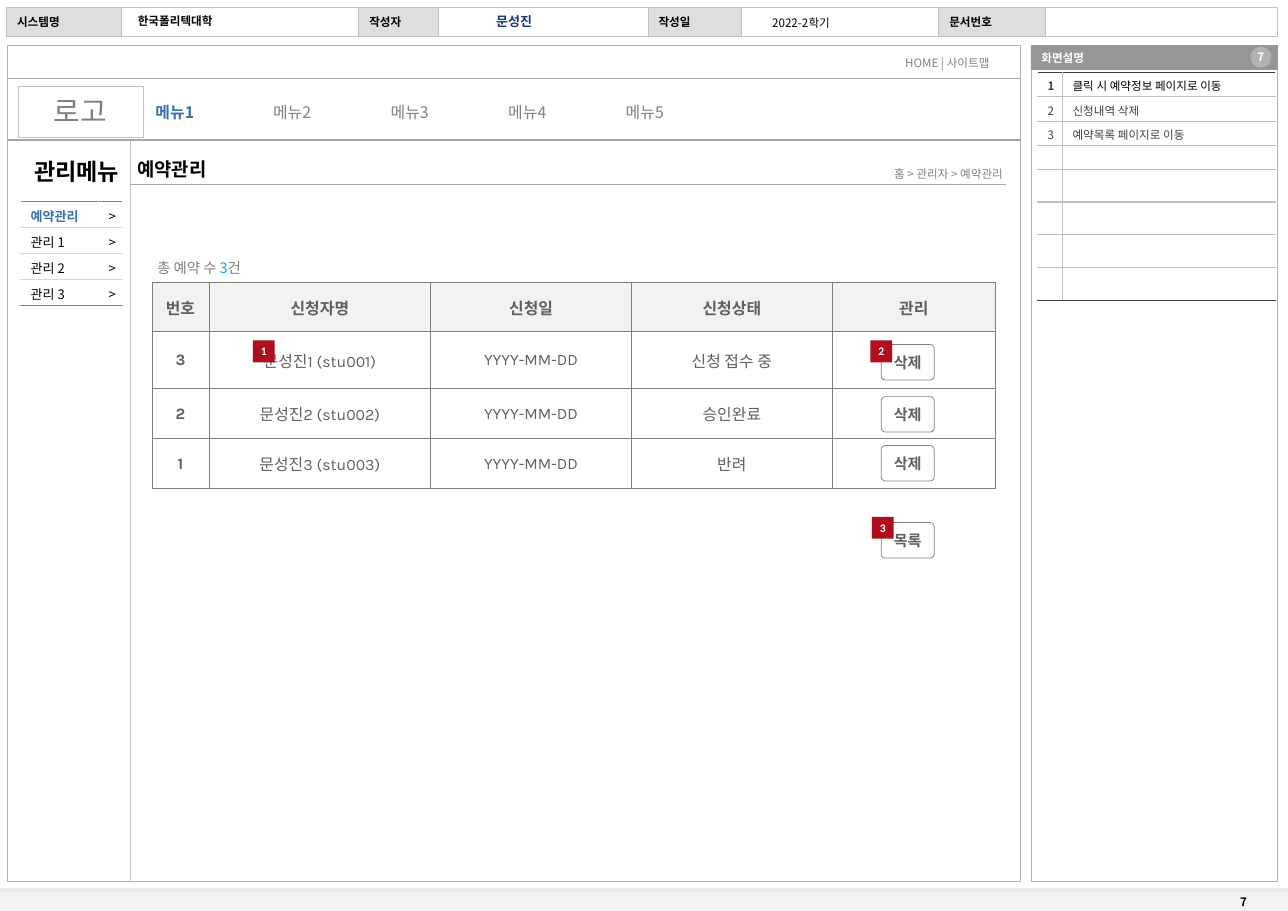
import pptx
import pptx.util
import pptx.dml.color
import pptx.enum.shapes
import pptx.enum.text
import pptx.oxml.ns
from lxml import etree

COLS, ROWS = 1238, 875
WIDE, HIGH = pptx.util.Pt(891.4), pptx.util.Pt(630.3)
KIND = pptx.enum.shapes.MSO_SHAPE
ALIGN = pptx.enum.text.PP_ALIGN
LEFT, MID, RIGHT = ALIGN.LEFT, ALIGN.CENTER, ALIGN.RIGHT
TOP, HALF = pptx.enum.text.MSO_ANCHOR.TOP, pptx.enum.text.MSO_ANCHOR.MIDDLE
SIDES = ("margin_left", "margin_top", "margin_right", "margin_bottom")

THEME = dict(
    sans="Noto Sans CJK KR", web="Karla", tag="Calibri",
    black="000000", white="FFFFFF", grey="808080", dark="404040", text="5F5F5F",
    blue="376EAB", navy="163873", cyan="00B0F0", red="AF0F1D",
    foot="F3F3F3", edge="EAEAEA", head="F2F2F2", label="DEDEDE", bar="969696",
    frame="B2B2B2", band="C0C0C0", rule="A6A6A6", thin="BFBFBF", pale="D9D9D9",
    small=8, body=9, count=10, button=10.5, menu=11, title=13, side=16, logo=20)

LABELS = [("시스템명", 6.5, 110), ("작성자", 345, 77), ("작성일", 623, 90), ("문서번호", 902.5, 102)]
PANELS = [((7.5, 44, 973, 803), 0.75), ((991, 67, 237, 780), 0.5)]
RULES = [((0, 855, COLS, 855), "edge", 3), ((125, 135, 125, 847), "thin", 0.25),
         ((125, 177.5, 966.5, 177.5), "rule", 0.75), ((7.5, 134.5, 981, 134.5), "rule", 0.75),
         ((367, 75.5, 981, 75.5), "rule", 0.75), ((7.5, 75.5, 422, 75.5), "rule", 0.75)]
NOTES = [
    ("7", (1182, 855, 55, 24), dict(bold=True)),
    ("문성진", (423, 8, 142, 25), dict(size="body", tint="navy", bold=True, align=MID)),
    ("한국폴리텍대학", (122.5, 8, 222, 24), dict(bold=True)),
    ("2022-2학기", (720, 10.5, 100, 24), dict(align=MID)),
    ("관리메뉴", (7.5, 146.5, 132, 37), dict(size="side", bold=True, align=MID)),
    ("홈 > 관리자 > 예약관리", (832, 155, 142, 24), dict(tint="grey", align=RIGHT)),
    ("HOME | 사이트맵", (860, 49, 120, 24), dict(tint="grey"))]
TITLE = ("예약관리", (122, 146.5, 100, 32))
MENU = ["메뉴1", "메뉴2", "메뉴3", "메뉴4", "메뉴5"]
STEP = 113
TOTAL = [("총 예약 수 ", "grey"), ("3", "cyan"), ("건", "grey")]
SIDE = [("예약관리", ">"), ("관리 1", ">"), ("관리 2", ">"), ("관리 3", ">")]
GUIDE = [("1", "클릭 시 예약정보 페이지로 이동"), ("2", "신청내역 삭제"),
         ("3", "예약목록 페이지로 이동")] + [("", "")] * 5
BOOKS = [("번호", "신청자명", "신청일", "신청상태", "관리"),
         ("3", "문성진1 (stu001)", "YYYY-MM-DD", "신청 접수 중", ""),
         ("2", "문성진2 (stu002)", "YYYY-MM-DD", "승인완료", ""),
         ("1", "문성진3 (stu003)", "YYYY-MM-DD", "반려", "")]
BUTTONS = [("삭제", 331), ("삭제", 381), ("삭제", 428), ("목록", 502)]
TAGS = [("2", 836.5, 327), ("1", 243, 327), ("3", 838, 496.5)]

deck = pptx.Presentation()
deck.slide_width, deck.slide_height = WIDE, HIGH
page = deck.slides.add_slide(deck.slide_layouts[5])
shapes = page.shapes


def grid(box):
    return [round(n * (HIGH / ROWS if i % 2 else WIDE / COLS)) for i, n in enumerate(box)]


def color(name):
    return pptx.dml.color.RGBColor.from_string(THEME[name])


def assign(item, **form):
    for key, val in form.items():
        setattr(item, key, val)


def node(home, tag, **form):
    return etree.SubElement(home, pptx.oxml.ns.qn(tag), **form)


def paint(fill, tint):
    if tint:
        fill.solid()
        fill.fore_color.rgb = color(tint)
    else:
        fill.background()


def add_run(para, text, size="small", tint="black", font="sans", bold=False):
    run = para.add_run()
    run.text = text
    assign(run.font, name=THEME[font], size=pptx.util.Pt(THEME[size]), bold=bold)
    run.font.color.rgb = color(tint)
    node(run.font._element, "a:ea", typeface=THEME["sans"])


def write(frame, text, align=LEFT, anchor=TOP, pad=(10, 5, 10, 5), **form):
    assign(frame, word_wrap=True, vertical_anchor=anchor, **dict(zip(SIDES, grid(pad))))
    para = frame.paragraphs[0]
    para.alignment = align
    if text:
        add_run(para, text, **form)
    return para


def note(text, box, **form):
    return write(shapes.add_textbox(*grid(box)).text_frame, text, **form)


def shape(box, fill=None, line=None, width=0.75, kind=KIND.RECTANGLE, text="", **form):
    item = shapes.add_shape(kind, *grid(box))
    item.shadow.inherit = False
    paint(item.fill, fill)
    paint(item.line.fill, line)
    if line:
        item.line.width = pptx.util.Pt(width)
    if text:
        write(item.text_frame, text, anchor=HALF, **form)
    return item


def rule(ends, tint, width):
    item = shapes.add_connector(pptx.enum.shapes.MSO_CONNECTOR.STRAIGHT, *grid(ends))
    item.line.color.rgb = color(tint)
    item.line.width = pptx.util.Pt(width)
    node(item._element.spPr, "a:effectLst")


def table(data, spot, cols, rows, style):
    box = grid((*spot, sum(cols), sum(rows)))
    item = shapes.add_table(len(rows), len(cols), *box).table
    assign(item, first_row=False, horz_banding=False)
    for col, size in zip(item.columns, cols):
        col.width = grid((size,))[0]
    for row, size in zip(item.rows, rows):
        row.height = grid((0, size))[1]
    for r, line in enumerate(data):
        for c, text in enumerate(line):
            cell = item.cell(r, c)
            fill, edges, width, anchor, align, pad, form = style(r, c)
            for side, tint in zip("LRTB", edges):
                edge = node(cell._tc.get_or_add_tcPr(), "a:ln" + side,
                            w=str(pptx.util.Pt(width)))
                node(node(edge, "a:solidFill"), "a:srgbClr", val=THEME[tint])
            paint(cell.fill, fill)
            assign(cell, vertical_anchor=anchor, **dict(zip(SIDES, grid(pad))))
            para = cell.text_frame.paragraphs[0]
            para.alignment = align
            if text:
                add_run(para, text, **form)
            else:
                node(para._p, "a:endParaRPr", sz=str(THEME["small"] * 100))


def side_style(r, c):
    edges = ("white", "white", "pale" if r else "grey", "grey" if r == len(SIDE) - 1 else "pale")
    first = r == 0 and c == 0
    form = dict(size="body", tint="blue" if first else "black", bold=first)
    return None, edges, 1, HALF, RIGHT if c else LEFT, (10, 4, 7 if c else 0, 2), form


def guide_style(r, c):
    edges = ("thin" if c else "white", "white" if c else "thin",
             "thin" if r else "dark", "dark" if r == len(GUIDE) - 1 else "thin")
    form = dict(tint="black" if r == 0 and c else "dark", bold=r == 0 and c == 0)
    return "white", edges, 1, TOP, LEFT, (10, 4.5, 0, 2), form


def book_style(r, c):
    form = dict(size="menu", tint="text", font="web", bold=r == 0 or c == 0)
    return None if r else "head", ["grey"] * 4, 0.5, HALF, MID, (9, 9, 9, 9), form


shape((0, 855, COLS, 20), "foot")
for box, width in PANELS:
    shape(box, line="frame", width=width)
shape((6.5, 7.5, 1221.5, 28), "white", "band")
for text, left, width in LABELS:
    shape((left, 7, width, 28), "label", "band", text=text, bold=True)
shape((991, 44, 237, 23), "bar", "bar", 0.5, text="화면설명", tint="white", bold=True)
shape((1202, 45, 20, 20), "frame", kind=KIND.OVAL, text="7", tint="white", bold=True,
      align=MID, pad=(0, 0, 0, 0))
for ends, tint, width in RULES:
    rule(ends, tint, width)
for text, box, form in NOTES:
    note(text, box, **form)

name, box = TITLE
head = shapes.title
assign(head, **dict(zip(("left", "top", "width", "height"), grid(box))))
write(head.text_frame, name, size="title", bold=True)

table(SIDE, (19.5, 193.5), (75, 23), [25] * 4, side_style)
para = note("", (139.5, 93.5, 652, 29))
tabs = node(para._p.get_or_add_pPr(), "a:tabLst")
for i, text in enumerate(MENU):
    if i:
        node(tabs, "a:tab", pos=str(grid((STEP * i,))[0]), algn="l")
    add_run(para, "\t" + text if i else text, size="menu",
            tint="grey" if i else "blue", bold=i == 0)
shape((17.5, 82.5, 120, 49), "white", "thin", 0.25, text="로고", size="logo", tint="grey", align=MID)

table(GUIDE, (997, 69.5), (24, 205), [23.5] * 3 + [22.5] + [31.5] * 4, guide_style)
table(BOOKS, (146, 271.5), (55, 213, 193, 193, 157), (47, 55, 48, 48), book_style)
para = note("", (141, 244, 140, 27))
for text, tint in TOTAL:
    add_run(para, text, size="count", tint=tint)
for text, top in BUTTONS:
    item = shape((847, top, 51, 34), "white", "grey", 0.5, KIND.ROUNDED_RECTANGLE, text,
                 size="button", tint="text", font="web", bold=True, align=MID, pad=(0, 0, 0, 0))
    item.adjustments[0] = 0.11
for text, left, top in TAGS:
    shape((left, top, 21, 21), "red", text=text, tint="white", font="tag", bold=True,
          align=MID, pad=(0, 0, 0, 0))

deck.save("out.pptx")
